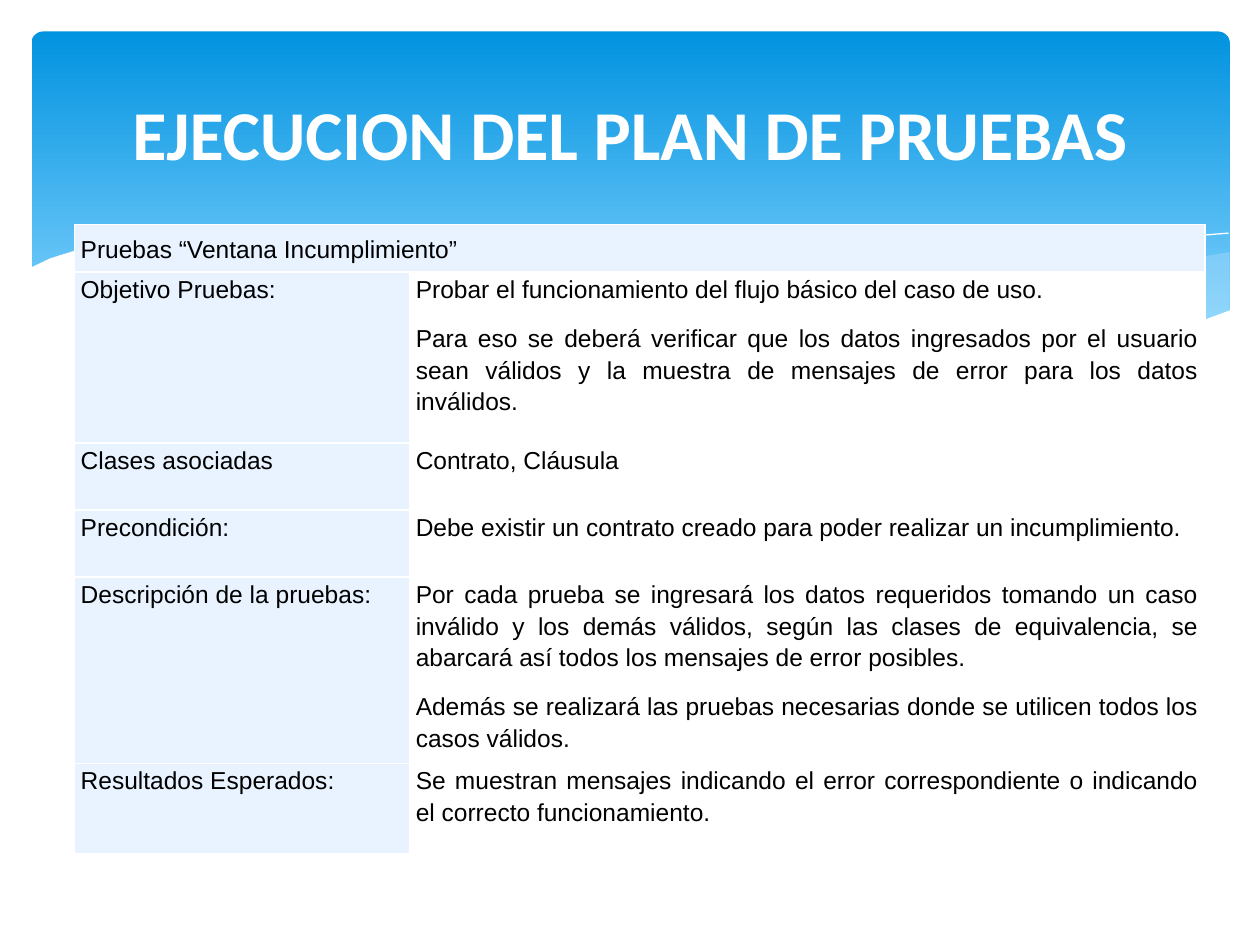
import pptx
import pptx.util
import pptx.dml.color
import pptx.enum.shapes
import pptx.enum.text
import pptx.oxml.ns
from lxml import etree

Pt = pptx.util.Pt
RGBColor = pptx.dml.color.RGBColor
ALIGN = pptx.enum.text.PP_ALIGN
ANCHOR = pptx.enum.text.MSO_ANCHOR
SHAPE = pptx.enum.shapes.MSO_SHAPE
qn = pptx.oxml.ns.qn

WHITE = RGBColor(0xFF, 0xFF, 0xFF)
BLACK = RGBColor(0, 0, 0)
DEEP_BLUE = RGBColor(0x02, 0x93, 0xE0)
SKY_BLUE = RGBColor(0x83, 0xD3, 0xFE)
WAVE_BLUE = RGBColor(0xC6, 0xE7, 0xFC)
LABEL_BLUE = RGBColor(0xE8, 0xF3, 0xFF)

# Wave outlines, in points
RIGHT_WAVE = [
    (702.7, 144), (673.2, 149), (652.3, 153.4), (619.9, 160.6), (579.6, 170.6),
    (542.2, 178.6), (508.3, 185), (475.9, 190.8), (507.6, 195.1), (536.4, 198),
    (562.3, 199.4), (586.1, 200.2), (607.7, 199.4), (634.3, 196.6),
    (651.6, 193.7), (668.2, 189.4), (683.3, 185), (702.7, 177.8)]
MIDDLE_WAVE = [
    (205.9, 137.5), (225.4, 135.4), (259.9, 133.2), (287.3, 133.9),
    (318.2, 136.1), (352.1, 139.7), (389.5, 146.2), (420.5, 151.9),
    (452.9, 159.8), (481, 166.3), (533.5, 177.8), (581, 187.2), (643, 196.6),
    (617, 199.4), (589, 200.2), (556.6, 199.4), (519.8, 197.3),
    (478.8, 191.5), (432.7, 183.6), (381.6, 172.8), (323.3, 159.8),
    (290.9, 151.9), (260.6, 146.2), (232.6, 141.1)]
FALLING_LINE = [
    (222.5, 140.4), (247.7, 136.8), (278.6, 134.6), (311.8, 134.6),
    (352.1, 136.8), (400.3, 141.8), (437.8, 146.9), (478.8, 153.4),
    (523.4, 162.7), (572.4, 173.5), (653, 195.8)]
RISING_LINE = [
    (441.4, 185), (500.4, 169.2), (538.6, 160.6), (580.3, 151.2),
    (623.5, 143.3), (655.2, 138.2), (684.7, 134.6), (702, 133.2)]
WHITE_WAVE = [
    (703.4, 177.1), (684, 184.3), (662.4, 190.8), (638.6, 195.1), (612, 198),
    (582.5, 199.4), (547.9, 198), (509.8, 194.4), (466.6, 188.6), (416.9, 180),
    (362.2, 167.8), (321.8, 158.4), (281.5, 149), (244.8, 141.8),
    (210.2, 136.8), (180, 133.9), (151.9, 132.5), (115.9, 132.5),
    (85.7, 134.6), (61.2, 139), (42.5, 143.3), (28.8, 147.6), (16.6, 153.4),
    (16.6, 236.9), (703.4, 236.9)]

HEADING = "Pruebas “Ventana Incumplimiento”"
ROWS = [
    ("Objetivo Pruebas:", [
        "Probar el funcionamiento del flujo básico del caso de uso.",
        "Para eso se deberá verificar que los datos ingresados por el usuario sean "
        "válidos y la muestra de mensajes de error para los datos inválidos."]),
    ("Clases asociadas", ["Contrato, Cláusula"]),
    ("Precondición:", [
        "Debe existir un contrato creado para poder realizar un incumplimiento."]),
    ("Descripción de la pruebas:", [
        "Por cada prueba se ingresará los datos requeridos tomando un caso inválido "
        "y los demás válidos, según las clases de equivalencia, se abarcará así "
        "todos los mensajes de error posibles.",
        "Además se realizará las pruebas necesarias donde se utilicen todos los "
        "casos válidos."]),
    ("Resultados Esperados:", [
        "Se muestran mensajes indicando el error correspondiente o indicando el "
        "correcto funcionamiento."]),
]
COLUMN_WIDTHS = [191.5, 454.5]
ROW_HEIGHTS = [27.2, 97.8, 38.3, 38.3, 97.8, 51.8]


def apply(target, values):
    for name, value in values.items():
        setattr(target, name, value)


class SlideBuilder:
    title_font = {"name": "Calibri", "size": Pt(40), "bold": True}
    cell_font = {"name": "Arial", "size": Pt(14), "bold": False}
    cell_para = {"line_spacing": 1.15, "space_after": Pt(10)}
    cell_margins = {"margin_left": Pt(3.6), "margin_right": Pt(3.6),
                    "margin_top": Pt(0), "margin_bottom": Pt(0)}

    def __init__(self, page):
        self.page = page

    def add_text(self, frame, texts, font, color, para_format):
        for index, text in enumerate(texts):
            para = frame.add_paragraph() if index else frame.paragraphs[0]
            apply(para, para_format)
            span = para.add_run()
            span.text = text
            apply(span.font, font)
            span.font.color.rgb = color

    def banner(self, left, top, width, height):
        box = self.page.shapes.add_shape(
            SHAPE.ROUNDED_RECTANGLE, Pt(left), Pt(top), Pt(width), Pt(height))
        box.shadow.inherit = False
        box.adjustments[0] = 0.034
        box.line.fill.background()
        box.fill.gradient()
        box.fill.gradient_angle = 270
        for stop, color, position in zip(
                box.fill.gradient_stops, (DEEP_BLUE, SKY_BLUE), (0, 0.9)):
            stop.color.rgb = color
            stop.position = position

    def outline(self, points, closed):
        builder = self.page.shapes.build_freeform(
            Pt(points[0][0]), Pt(points[0][1]))
        builder.add_line_segments([(Pt(x), Pt(y)) for x, y in points[1:]], close=closed)
        shape = builder.convert_to_shape()
        shape.shadow.inherit = False
        return shape

    def wave(self, points, color, opacity=100):
        shape = self.outline(points, True)
        shape.line.fill.background()
        shape.fill.solid()
        shape.fill.fore_color.rgb = color
        if opacity < 100:
            tint = shape.element.spPr.find(qn("a:solidFill")).find(qn("a:srgbClr"))
            etree.SubElement(tint, qn("a:alpha"), val=str(opacity * 1000))

    def curve(self, points):
        shape = self.outline(points, False)
        shape.fill.background()
        shape.line.color.rgb = WHITE
        shape.line.width = Pt(0)

    def title(self, text, left, top, width, height):
        box = self.page.shapes.add_textbox(Pt(left), Pt(top), Pt(width), Pt(height))
        apply(box.text_frame, {"word_wrap": True, "vertical_anchor": ANCHOR.MIDDLE})
        self.add_text(box.text_frame, [text], self.title_font, WHITE,
                      {"alignment": ALIGN.CENTER})

    def cell(self, cell, texts, fill, align, anchor=ANCHOR.TOP):
        apply(cell, {**self.cell_margins, "vertical_anchor": anchor})
        cell.fill.solid()
        cell.fill.fore_color.rgb = fill
        self.add_text(cell.text_frame, texts, self.cell_font, BLACK,
                      {**self.cell_para, "alignment": align})
        properties = cell._tc.get_or_add_tcPr()
        for index, side in enumerate(("lnL", "lnR", "lnT", "lnB")):
            border = etree.Element(qn("a:" + side), w=str(int(Pt(1))))
            solid = etree.SubElement(border, qn("a:solidFill"))
            etree.SubElement(solid, qn("a:srgbClr"), val=str(WHITE))
            properties.insert(index, border)

    def table(self, left, top):
        grid = self.page.shapes.add_table(
            len(ROW_HEIGHTS), len(COLUMN_WIDTHS), Pt(left), Pt(top),
            Pt(sum(COLUMN_WIDTHS)), Pt(sum(ROW_HEIGHTS))).table
        for column, width in zip(grid.columns, COLUMN_WIDTHS):
            column.width = Pt(width)
        for row, height in zip(grid.rows, ROW_HEIGHTS):
            row.height = Pt(height)
        grid.cell(0, 0).merge(grid.cell(0, 1))
        self.cell(grid.cell(0, 0), [HEADING], LABEL_BLUE, ALIGN.LEFT, ANCHOR.MIDDLE)
        for index, (label, texts) in enumerate(ROWS, start=1):
            self.cell(grid.cell(index, 0), [label], LABEL_BLUE, ALIGN.LEFT)
            self.cell(grid.cell(index, 1), texts, WHITE, ALIGN.JUSTIFY)


def main():
    deck = pptx.Presentation()
    apply(deck, {"slide_width": Pt(720), "slide_height": Pt(540)})
    slide = SlideBuilder(deck.slides.add_slide(deck.slide_layouts[6]))

    # Banner with waves along its lower edge
    slide.banner(18, 18, 684.7, 194.4)
    slide.wave(RIGHT_WAVE, WAVE_BLUE, 29)
    slide.wave(MIDDLE_WAVE, WAVE_BLUE, 40)
    slide.curve(FALLING_LINE)
    slide.curve(RISING_LINE)
    slide.wave(WHITE_WAVE, WHITE)

    # Title and test plan
    slide.title("EJECUCION DEL PLAN DE PRUEBAS", 36, 26.6, 648, 98.6)
    slide.table(42.5, 128.2)

    deck.save("out.pptx")


if __name__ == "__main__":
    main()
